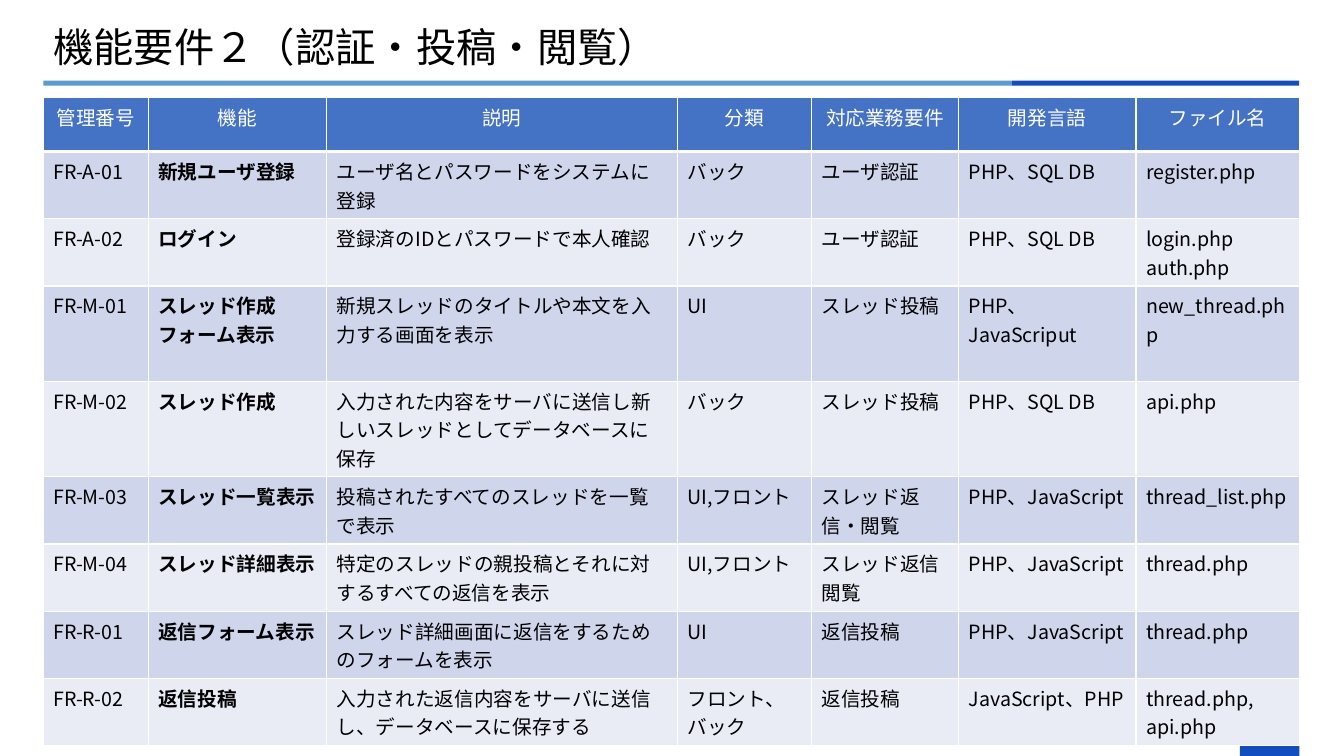
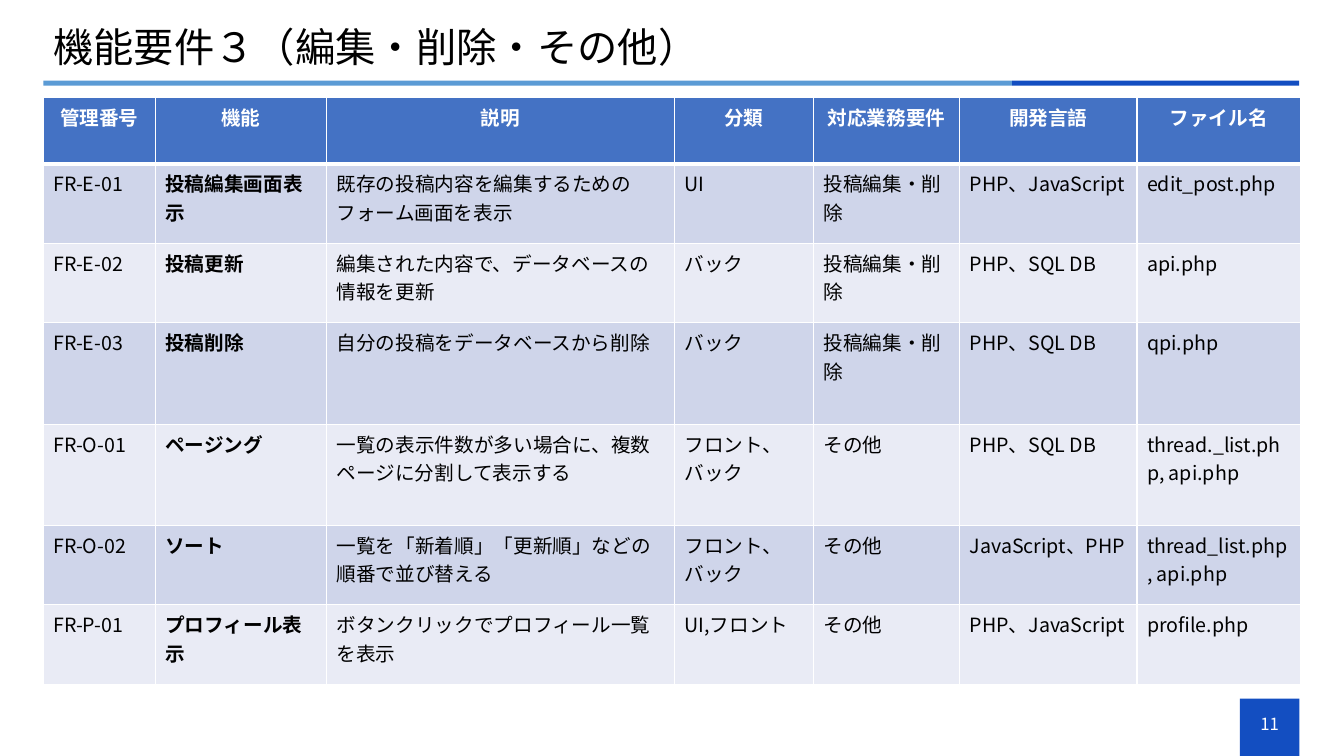
from lxml import etree
from pptx import Presentation, util as u
from pptx.dml.color import RGBColor
from pptx.enum import shapes, text
from pptx.oxml import ns

Pt = u.Pt
FONT = "Noto Sans CJK JP"
HUES = {"navy": "134EC1", "sky": "5B9BD5", "head": "4472C4", "odd": "CFD5EA",
        "even": "E9EBF5", "white": "FFFFFF", "black": "000000"}
LEFT, WIDTH = 31, 897
MID = text.MSO_ANCHOR.MIDDLE
CENTER = text.PP_ALIGN.CENTER

# Formats shared by both slides
TITLE = {"size": Pt(28.8), "bold": False}
PAGE = {"size": Pt(12), "bold": False}
PLAIN = {"size": Pt(14), "bold": False}
BOLD = {"size": Pt(14), "bold": True}

# Bands: left, top, width, height, colour
BANDS = [(885.6, 499, 42.5, 41, "navy"),
         (LEFT, 57.6, 692, 3.6, "sky"),
         (723, 57.6, 205, 3.6, "navy")]

# Table content
HEADS = ("管理番号", "機能", "説明", "分類", "対応業務要件", "開発言語", "ファイル名")
DATA = "PHP、SQL DB"
VIEW = "PHP、JavaScript"
CALL = "JavaScript、PHP"

POSTS = [
    ("FR-A-01", "新規ユーザ登録", "ユーザ名とパスワードをシステムに登録",
     "バック", "ユーザ認証", DATA, "register.php"),
    ("FR-A-02", "ログイン", "登録済のIDとパスワードで本人確認",
     "バック", "ユーザ認証", DATA, "login.php\nauth.php"),
    ("FR-M-01", "スレッド作成フォーム表示", "新規スレッドのタイトルや本文を入力する画面を表示",
     "UI", "スレッド投稿", "PHP、JavaScriput", "new_thread.php"),
    ("FR-M-02", "スレッド作成", "入力された内容をサーバに送信し新しいスレッドとしてデータベースに保存",
     "バック", "スレッド投稿", DATA, "api.php"),
    ("FR-M-03", "スレッド一覧表示", "投稿されたすべてのスレッドを一覧で表示",
     "UI,フロント", "スレッド返信・閲覧", VIEW, "thread_list.php"),
    ("FR-M-04", "スレッド詳細表示", "特定のスレッドの親投稿とそれに対するすべての返信を表示",
     "UI,フロント", "スレッド返信閲覧", VIEW, "thread.php"),
    ("FR-R-01", "返信フォーム表示", "スレッド詳細画面に返信をするためのフォームを表示",
     "UI", "返信投稿", VIEW, "thread.php"),
    ("FR-R-02", "返信投稿", "入力された返信内容をサーバに送信し、データベースに保存する",
     "フロント、バック", "返信投稿", CALL, "thread.php,\napi.php"),
]

EDITS = [
    ("FR-E-01", "投稿編集画面表示", "既存の投稿内容を編集するためのフォーム画面を表示",
     "UI", "投稿編集・削除", VIEW, "edit_post.php"),
    ("FR-E-02", "投稿更新", "編集された内容で、データベースの情報を更新",
     "バック", "投稿編集・削除", DATA, "api.php"),
    ("FR-E-03", "投稿削除", "自分の投稿をデータベースから削除",
     "バック", "投稿編集・削除", DATA, "qpi.php"),
    ("FR-O-01", "ページング", "一覧の表示件数が多い場合に、複数ページに分割して表示する",
     "フロント、バック", "その他", DATA, "thread._list.php, api.php"),
    ("FR-O-02", "ソート", "一覧を「新着順」「更新順」などの順番で並び替える",
     "フロント、バック", "その他", CALL, "thread_list.php, api.php"),
    ("FR-P-01", "プロフィール表示", "ボタンクリックでプロフィール一覧を表示",
     "UI,フロント", "その他", VIEW, "profile.php"),
]

SLIDES = [
    {"title": "機能要件２（認証・投稿・閲覧）", "page": None, "head": PLAIN, "rows": POSTS,
     "cols": (74.9, 127.4, 250.6, 95.8, 105.1, 126.7, 116.6),
     "highs": (38.5, 48, 48, 68.2, 68.2, 48, 48, 48, 48)},
    {"title": "機能要件３（編集・削除・その他）", "page": "11", "head": BOLD, "rows": EDITS,
     "cols": (79.9, 122.4, 248.4, 99.4, 104.4, 126.7, 116.6),
     "highs": (47.4, 56.7, 56.7, 72.4, 72.4, 56.7, 56.7)},
]


def hue(name):
    return RGBColor.from_string(HUES[name])


def paint(item, name):
    item.fill.solid()
    item.fill.fore_color.rgb = hue(name)


def write(frame, words, form, tint, **para):
    """Fill a text frame and format its paragraphs and runs."""
    frame.text = words
    for line in frame.paragraphs:
        for key, val in para.items():
            setattr(line, key, val)
        for run in line.runs:
            for key, val in {**form, "name": FONT}.items():
                setattr(run.font, key, val)
            run.font.color.rgb = hue(tint)
            east = etree.SubElement(run.font._element, ns.qn("a:ea"))
            east.set("typeface", FONT)


def add_band(slide, left, top, wide, high, tint):
    band = slide.shapes.add_shape(shapes.MSO_SHAPE.RECTANGLE,
                                  Pt(left), Pt(top), Pt(wide), Pt(high))
    band.shadow.inherit = False
    band.line.fill.background()
    paint(band, tint)


def add_text(slide, place, words, form, tint, **para):
    box = slide.shapes.add_textbox(*map(Pt, place))
    frame = box.text_frame
    frame.word_wrap = True
    frame.vertical_anchor = MID
    write(frame, words, form, tint, **para)


def rule(cell, sides):
    """Draw white cell borders; sides maps an edge to its width."""
    props = cell._tc.get_or_add_tcPr()
    for side, wide in sides.items():
        edge = etree.SubElement(props, ns.qn("a:ln" + side), w=str(Pt(wide)))
        fill = etree.SubElement(edge, ns.qn("a:solidFill"))
        etree.SubElement(fill, ns.qn("a:srgbClr"), val=HUES["white"])


def add_grid(slide, page):
    rows = [HEADS, *page["rows"]]
    grid = slide.shapes.add_table(len(rows), len(HEADS), Pt(LEFT), Pt(69.8),
                                  Pt(WIDTH), Pt(sum(page["highs"]))).table
    for col, wide in zip(grid.columns, page["cols"]):
        col.width = Pt(wide)
    for row, high in zip(grid.rows, page["highs"]):
        row.height = Pt(high)
    for r, row in enumerate(rows):
        for c, words in enumerate(row):
            cell = grid.cell(r, c)
            # The line below the header is thicker
            rule(cell, {"L": 1, "R": 1, "T": 3 if r == 1 else 1, "B": 3 if r == 0 else 1})
            if r == 0:
                paint(cell, "head")
                write(cell.text_frame, words, page["head"], "white", alignment=CENTER)
            else:
                paint(cell, "odd" if r % 2 else "even")
                write(cell.text_frame, words, BOLD if c == 1 else PLAIN, "black")


def add_page(deck, page):
    slide = deck.slides.add_slide(deck.slide_layouts[6])
    for band in BANDS:
        add_band(slide, *band)
    add_text(slide, (LEFT, 15, WIDTH, 40), page["title"], TITLE, "black", line_spacing=0.9)
    if page["page"]:
        add_text(slide, (885.6, 502.5, 42.5, 29), page["page"], PAGE, "white",
                 alignment=CENTER)
    add_grid(slide, page)


def main():
    deck = Presentation()
    deck.slide_width, deck.slide_height = Pt(960), Pt(540)
    for page in SLIDES:
        add_page(deck, page)
    deck.save("out.pptx")


if __name__ == "__main__":
    main()
